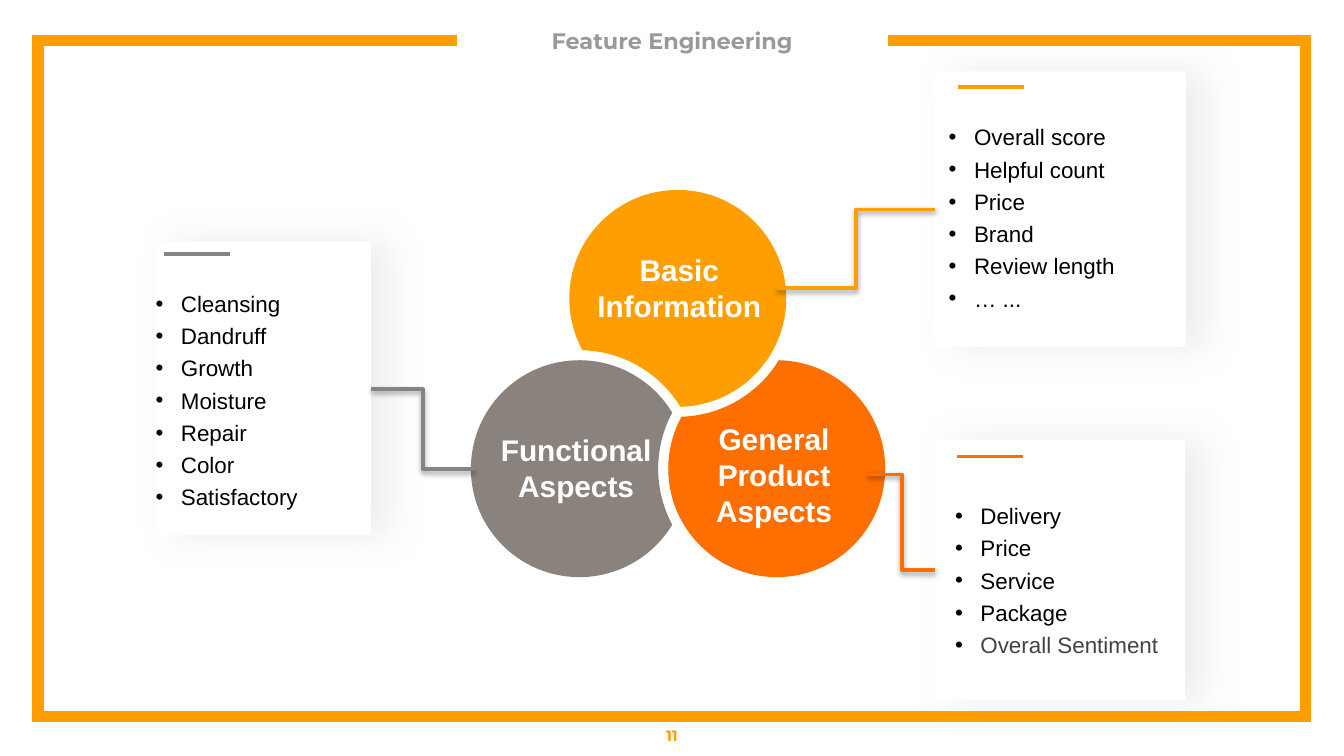
from itertools import pairwise
from math import acos, atan2, cos, dist, pi, sin, tan

from lxml.etree import SubElement
from pptx import Presentation
from pptx.dml.color import RGBColor
from pptx.enum.shapes import MSO_CONNECTOR, MSO_SHAPE
from pptx.enum.text import MSO_ANCHOR, PP_ALIGN
from pptx.oxml.ns import qn
from pptx.util import Cm, Pt

COLORS = {
    "amber": "FF9E00",
    "orange": "FF6F00",
    "taupe": "8A827D",
    "white": "FFFFFF",
    "black": "000000",
    "title": "999999",
    "muted": "434343",
    "card_shadow": "A6A6A6",
}
RADIUS = 2.05  # petal circle, cm
CUT_RADIUS = 2.24  # petal circle plus the white gap, cm

FRAME = [(8.64, 0.76), (0.72, 0.76), (0.72, 13.54),
         (24.68, 13.54), (24.68, 0.76), (16.79, 0.76)]

# card box, accent start, list box, accent colour, items
CARDS = [
    ((17.68, 8.31, 4.72, 4.93), (18.09, 8.63), (17.8, 9.27, 4.4, 3.28), "orange",
     ["Delivery", "Price", "Service", "Package", "Overall Sentiment"]),
    ((17.65, 1.35, 4.77, 5.21), (18.11, 1.65), (17.68, 2.11, 5.84, 5.18), "amber",
     ["Overall score", "Helpful count", "Price", "Brand", "Review length", "… ..."]),
    ((2.92, 4.57, 4.09, 5.54), (3.1, 4.8), (2.69, 5.26, 3.48, 4.57), "taupe",
     ["Cleansing", "Dandruff", "Growth", "Moisture", "Repair", "Color", "Satisfactory"]),
]

# centre, colour, label, label box; each petal is cut by the one after it
PETALS = [
    ((14.68, 8.86), "orange", "General Product Aspects", (12.84, 7.83, 3.58, 2.31)),
    ((12.81, 5.64), "amber", "Basic Information", (11, 4.63, 3.68, 1.63)),
    ((10.95, 8.86), "taupe", "Functional Aspects", (8.97, 8.04, 3.84, 1.63)),
]

LINKS = [
    ((16.41, 8.97), (17.68, 10.77), "orange"),
    ((14.68, 5.44), (17.68, 3.96), "amber"),
    ((8.97, 8.86), (7.01, 7.36), "taupe"),
]


def rgb(name):
    return RGBColor.from_string(COLORS[name])


def add_shadow(effects, color, alpha, blur, distance, angle):
    """Put an outer shadow in an effect list; alpha in percent, lengths in points."""
    shadow = SubElement(effects, qn("a:outerShdw"), blurRad=str(Pt(blur)),
                        dist=str(Pt(distance)), dir=str(angle * 60000),
                        algn="bl", rotWithShape="0")
    tint = SubElement(shadow, qn("a:srgbClr"), val=COLORS[color])
    SubElement(tint, qn("a:alpha"), val=str(alpha * 1000))


def add_freeform(slide, points, close):
    corners = [(Cm(x), Cm(y)) for x, y in points]
    builder = slide.shapes.build_freeform(*corners[0])
    builder.add_line_segments(corners[1:], close=close)
    outline = builder.convert_to_shape()
    outline.shadow.inherit = False
    return outline


def add_frame(slide):
    frame = add_freeform(slide, FRAME, close=False)
    frame.fill.background()
    frame.line.color.rgb = rgb("amber")
    frame.line.width = Pt(6)
    SubElement(frame._element.spPr.find(qn("a:ln")), qn("a:miter"), lim="800000")


def add_text(slide, box, lines, size, color, font="Arial", bold=True,
             align=PP_ALIGN.CENTER, anchor=MSO_ANCHOR.TOP):
    frame = slide.shapes.add_textbox(*map(Cm, box)).text_frame
    frame.word_wrap = True
    frame.vertical_anchor = anchor
    frame.text = "\n".join(lines)
    for paragraph in frame.paragraphs:
        paragraph.alignment = align
        paragraph.font.name = font
        paragraph.font.size = Pt(size)
        paragraph.font.bold = bold
        paragraph.font.color.rgb = rgb(color)
    return frame


def add_bullets(slide, box, items):
    frame = add_text(slide, box, items, 12, "black", bold=False, align=PP_ALIGN.LEFT)
    for paragraph in frame.paragraphs:
        paragraph.line_spacing = 1.2
        properties = paragraph._p.get_or_add_pPr()
        properties.set("marL", str(Cm(0.48)))
        properties.set("indent", str(-Cm(0.48)))
        bullet_color = SubElement(properties, qn("a:buClr"))
        SubElement(bullet_color, qn("a:srgbClr"), val=COLORS["black"])
        SubElement(properties, qn("a:buFont"), typeface="Arial")
        SubElement(properties, qn("a:buChar"), char="•")
        # pPr order: the list above follows the line spacing
    return frame


def add_line(slide, kind, start, end, color):
    """Add a connector and return its empty effect list."""
    line = slide.shapes.add_connector(kind, *map(Cm, (*start, *end)))
    line.line.color.rgb = rgb(color)
    line.line.width = Pt(2)
    return SubElement(line._element.spPr, qn("a:effectLst"))


def add_card(slide, box, accent, list_box, color, items):
    card = slide.shapes.add_shape(MSO_SHAPE.RECTANGLE, *map(Cm, box))
    card.fill.solid()
    card.fill.fore_color.rgb = rgb("white")
    card.line.fill.background()
    card.shadow.inherit = False
    effects = card._element.spPr.find(qn("a:effectLst"))
    add_shadow(effects, "card_shadow", 20, 20, 10, 0)
    x, y = accent
    add_line(slide, MSO_CONNECTOR.STRAIGHT, (x + 1.24, y), accent, color)
    return add_bullets(slide, list_box, items)


def arc(center, radius, angles):
    """Bezier points through the angles: two handles and an end for each span."""
    points = []
    for start, end in pairwise(angles):
        reach = 4 / 3 * tan((end - start) / 4)
        for angle, pull in ((start, reach), (end, -reach), (end, 0)):
            points.append((center[0] + radius * (cos(angle) - pull * sin(angle)),
                           center[1] + radius * (sin(angle) + pull * cos(angle))))
    return points


def petal_points(center, neighbour):
    """Outline of a circle with the neighbour's wider circle cut out of it."""
    gap = dist(center, neighbour)
    heading = atan2(neighbour[1] - center[1], neighbour[0] - center[0])
    own = acos((gap**2 + RADIUS**2 - CUT_RADIUS**2) / (2 * gap * RADIUS))
    cut = acos((gap**2 + CUT_RADIUS**2 - RADIUS**2) / (2 * gap * CUT_RADIUS))
    first, last = heading + own, heading + 2 * pi - own
    quarters = [k * pi / 2 for k in range(-4, 9) if first < k * pi / 2 < last]
    outline = (arc(center, RADIUS, [first, *quarters, last])
               + arc(neighbour, CUT_RADIUS, [heading + pi + cut, heading + pi - cut]))
    return [outline[-1], *outline]


def add_petal(slide, center, neighbour, color):
    petal = add_freeform(slide, petal_points(center, neighbour), close=True)
    steps = list(petal._element.iter(qn("a:lnTo")))
    for curve, handle, end in zip(steps[::3], steps[1::3], steps[2::3]):
        bezier = curve.makeelement(qn("a:cubicBezTo"))
        curve.addprevious(bezier)
        for step in (curve, handle, end):
            bezier.append(step[0])
            step.getparent().remove(step)
    petal.fill.solid()
    petal.fill.fore_color.rgb = rgb(color)
    petal.line.fill.background()


def main():
    deck = Presentation()
    deck.slide_width, deck.slide_height = Cm(25.4), Cm(14.29)
    slide = deck.slides.add_slide(deck.slide_layouts[6])

    add_frame(slide)
    lists = [add_card(slide, *card) for card in CARDS]
    lists[0].paragraphs[-1].font.color.rgb = rgb("muted")

    add_text(slide, (9.01, 0.28, 7.39, 0.99), ["Feature Engineering"], 12, "title",
             font="Montserrat", anchor=MSO_ANCHOR.MIDDLE)
    add_text(slide, (0, 13.53, 25.4, 0.76), ["11"], 8, "amber",
             font="Montserrat", anchor=MSO_ANCHOR.MIDDLE)

    for i, (center, color, _, _) in enumerate(PETALS):
        add_petal(slide, center, PETALS[(i + 1) % len(PETALS)][0], color)
    for _, _, label, box in PETALS:
        add_text(slide, box, [label], 16, "white")
    for start, end, color in LINKS:
        effects = add_line(slide, MSO_CONNECTOR.ELBOW, start, end, color)
        add_shadow(effects, "black", 38, 3.1, 1.6, 90)

    deck.save("out.pptx")


if __name__ == "__main__":
    main()
